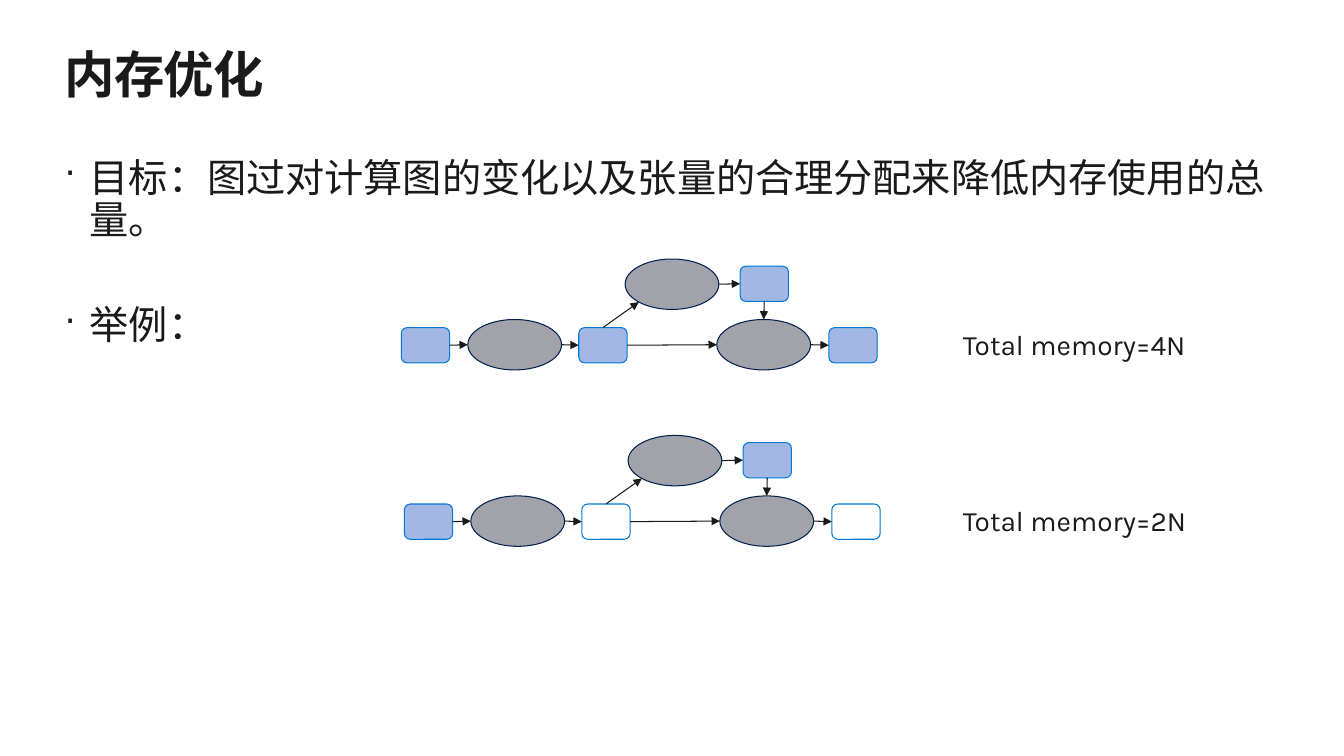
from dataclasses import dataclass
from math import sqrt

from lxml.etree import SubElement
from pptx import Presentation
from pptx.dml.color import RGBColor
from pptx.enum.shapes import MSO_CONNECTOR, MSO_SHAPE
from pptx.enum.text import MSO_ANCHOR, MSO_AUTO_SIZE, PP_ALIGN
from pptx.oxml.ns import qn
from pptx.util import Inches, Pt

FONT = "Karla"
INK = "1A1A1A"
TENSOR_FILL, REUSED_FILL, TENSOR_LINE = "A2B7E4", "FFFFFF", "0078D4"
OP_FILL, OP_LINE = "A2A3AA", "002050"
TENSOR_SIZE, OP_SIZE = (0.48, 0.35), (0.93, 0.5)
TOP, LEFT, BOTTOM, RIGHT, LOWER_LEFT = range(5)
DIAGONAL = sqrt(0.5) / 2
SITES = {
    TOP: (0.5, 0), LEFT: (0, 0.5), BOTTOM: (0.5, 1), RIGHT: (1, 0.5),
    LOWER_LEFT: (0.5 - DIAGONAL, 0.5 + DIAGONAL),
}


@dataclass
class Node:
    name: str
    x: float
    y: float
    is_tensor: bool = False


@dataclass
class Edge:
    start: str
    start_site: int
    end: str
    end_site: int


@dataclass
class Graph:
    dx: float
    dy: float
    reused: tuple[str, ...]
    label: str
    grouped: bool


NODES = [
    Node("input", 3.98, 3.25, True),
    Node("op1", 4.64, 3.17),
    Node("shared", 5.74, 3.25, True),
    Node("branch_op", 6.2, 2.57),
    Node("branch", 7.34, 2.64, True),
    Node("merge_op", 7.11, 3.17),
    Node("output", 8.22, 3.25, True),
]
EDGES = [
    Edge("input", RIGHT, "op1", LEFT),
    Edge("op1", RIGHT, "shared", LEFT),
    Edge("shared", TOP, "branch_op", LOWER_LEFT),
    Edge("shared", RIGHT, "merge_op", LEFT),
    Edge("branch_op", RIGHT, "branch", LEFT),
    Edge("branch", BOTTOM, "merge_op", TOP),
    Edge("merge_op", RIGHT, "output", LEFT),
]
GRAPHS = [
    Graph(0, 0, (), "Total memory=4N", False),
    Graph(0.03, 1.75, ("shared", "output"), "Total memory=2N", True),
]


def rgb(color: str) -> RGBColor:
    return RGBColor.from_string(color)


def add_run(p, text: str, size: float, bold: bool = False):
    r = p.add_run()
    r.text = text
    r.font.name, r.font.size, r.font.bold = FONT, Pt(size), bold
    r.font.color.rgb = rgb(INK)
    return r


def set_frame(tf, wrap: bool = True) -> None:
    tf.margin_left = tf.margin_top = tf.margin_right = tf.margin_bottom = 0
    tf.word_wrap = wrap
    tf.auto_size = MSO_AUTO_SIZE.NONE
    tf.vertical_anchor = MSO_ANCHOR.TOP


def add_title(slide, text: str) -> None:
    sp = slide.shapes.title
    sp.left, sp.top, sp.width, sp.height = map(Inches, (0.64, 0.5, 12.05, 0.61))
    set_frame(sp.text_frame)
    p = sp.text_frame.paragraphs[0]
    p.alignment, p.line_spacing = PP_ALIGN.LEFT, 0.9
    r = add_run(p, text, 36, bold=True)
    r.font._element.set("spc", "-50")


def add_bullets(slide, items: list[str]) -> None:
    box = slide.shapes.add_textbox(*map(Inches, (0.64, 1.57, 12.05, 2.64)))
    tf = box.text_frame
    set_frame(tf)
    for i, text in enumerate(items):
        p = tf.add_paragraph() if i else tf.paragraphs[0]
        pPr = p._p.get_or_add_pPr()
        pPr.set("marL", str(Inches(0.25)))
        pPr.set("indent", str(-Inches(0.25)))
        SubElement(pPr, qn("a:buSzPct")).set("val", "90000")
        SubElement(pPr, qn("a:buChar")).set("char", "·")
        p.line_spacing = 0.9
        p.space_before = Pt(45 if i else 0)
        add_run(p, text, 28)


def add_node(shapes, node: Node, graph: Graph):
    if node.is_tensor:
        kind, size, line = MSO_SHAPE.ROUNDED_RECTANGLE, TENSOR_SIZE, TENSOR_LINE
        fill = REUSED_FILL if node.name in graph.reused else TENSOR_FILL
    else:
        kind, size, line, fill = MSO_SHAPE.OVAL, OP_SIZE, OP_LINE, OP_FILL
    place = (node.x + graph.dx, node.y + graph.dy, *size)
    sp = shapes.add_shape(kind, *map(Inches, place))
    sp.shadow.inherit = False
    sp.fill.solid()
    sp.fill.fore_color.rgb = rgb(fill)
    sp.line.color.rgb = rgb(line)
    sp.line.width = Pt(0.75)
    return sp


def site_point(sp, site: int) -> tuple[int, int]:
    fx, fy = SITES[site]
    return round(sp.left + fx * sp.width), round(sp.top + fy * sp.height)


def add_arrow(shapes, start, start_site: int, end, end_site: int) -> None:
    """Draw an arrow, glued wherever it meets a tensor."""
    line = shapes.add_connector(MSO_CONNECTOR.STRAIGHT,
                                *site_point(start, start_site),
                                *site_point(end, end_site))
    if start.auto_shape_type == MSO_SHAPE.ROUNDED_RECTANGLE:
        line.begin_connect(start, start_site)
    if end.auto_shape_type == MSO_SHAPE.ROUNDED_RECTANGLE:
        line.end_connect(end, end_site)
    line.line.color.rgb = rgb(INK)
    line.line.width = Pt(0.75)
    SubElement(line.line._get_or_add_ln(), qn("a:tailEnd")).set("type", "triangle")
    SubElement(line._element.spPr, qn("a:effectLst"))


def add_graph(slide, graph: Graph) -> None:
    shapes = slide.shapes.add_group_shape().shapes if graph.grouped else slide.shapes
    drawn = {node.name: add_node(shapes, node, graph) for node in NODES}
    for edge in EDGES:
        add_arrow(shapes, drawn[edge.start], edge.start_site,
                  drawn[edge.end], edge.end_site)


def add_label(slide, graph: Graph) -> None:
    box = slide.shapes.add_textbox(*map(Inches, (9.55, 3.25 + graph.dy, 2.26, 0.34)))
    set_frame(box.text_frame, wrap=False)
    add_run(box.text_frame.paragraphs[0], graph.label, 20)


def main() -> None:
    prs = Presentation()
    prs.slide_width, prs.slide_height = Inches(13.33), Inches(7.5)
    slide = prs.slides.add_slide(prs.slide_layouts[5])
    add_title(slide, "内存优化")
    add_bullets(slide, [
        "目标：图过对计算图的变化以及张量的合理分配来降低内存使用的总量。",
        "举例：",
    ])
    for graph in GRAPHS:
        add_graph(slide, graph)
    for graph in GRAPHS:
        add_label(slide, graph)
    prs.save("out.pptx")


if __name__ == "__main__":
    main()
